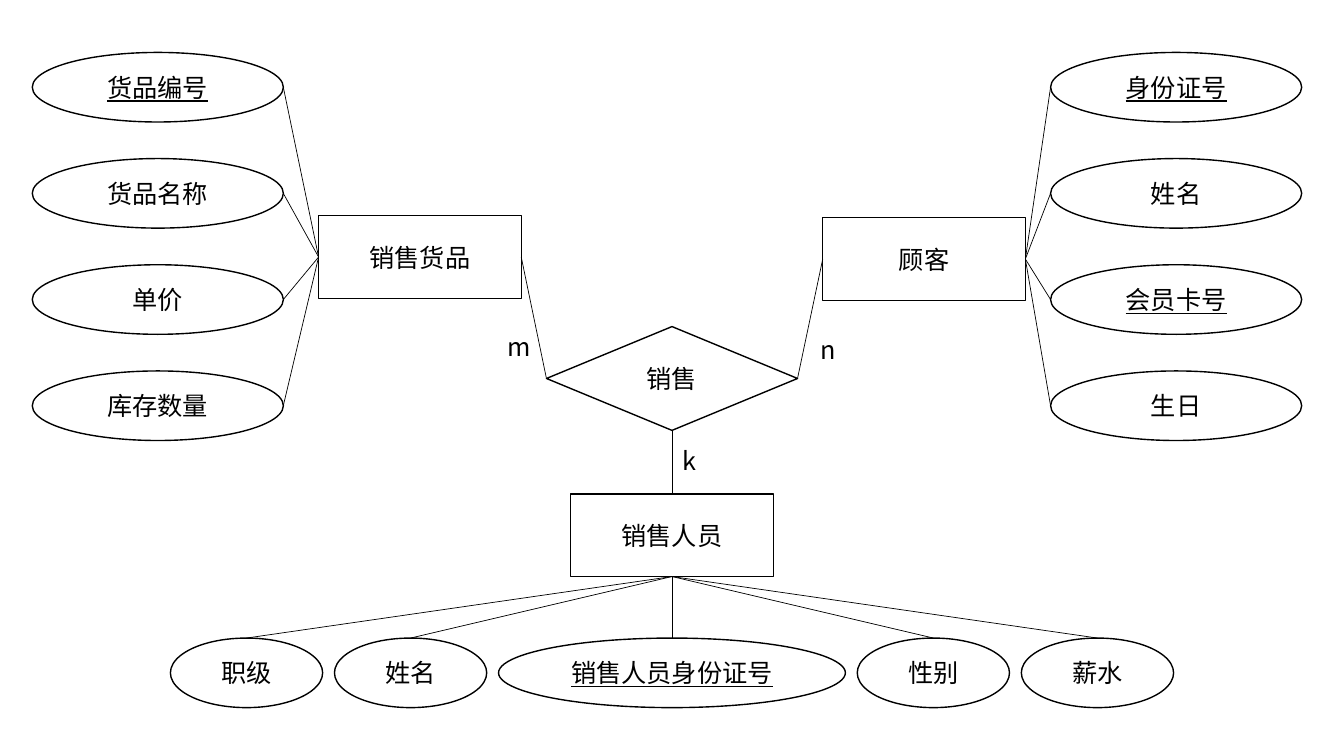
from dataclasses import dataclass

from lxml.etree import SubElement
from pptx import Presentation
from pptx.dml.color import RGBColor
from pptx.enum.shapes import MSO_CONNECTOR as Link, MSO_SHAPE as Preset
from pptx.enum.text import MSO_ANCHOR as Anchor, MSO_AUTO_SIZE as Fit, PP_ALIGN as Align
from pptx.oxml.ns import qn
from pptx.util import Inches, Pt

TOP, LEFT, BOTTOM, RIGHT = range(4)


@dataclass(frozen=True)
class Theme:
    ink: RGBColor = RGBColor(0, 0, 0)
    font: str = "Noto Sans CJK SC"
    text_size: float = 18
    outline: float = 1
    link: float = 0.5


@dataclass(frozen=True)
class Box:
    left: float
    top: float
    width: float
    height: float

    def emu(self):
        return [Inches(n) for n in (self.left, self.top, self.width, self.height)]


THEME = Theme()
ENTITY_WIDTH, ENTITY_HEIGHT = 2.01, 0.82
OVAL_HEIGHT = 0.69


def write(frame, words, align, key=False):
    """Add one run in the theme's type; key attributes are underlined."""
    frame.word_wrap = True
    paragraph = frame.paragraphs[0]
    paragraph.alignment = align
    run = paragraph.add_run()
    run.text = words
    run.font.size = Pt(THEME.text_size)
    run.font.color.rgb = THEME.ink
    run.font.name = THEME.font
    if key:
        run.font.underline = True
    SubElement(run.font._element, qn("a:ea"), typeface=THEME.font)


def node(slide, preset, box, words, key=False):
    """Draw one outlined node of the diagram."""
    shape = slide.shapes.add_shape(preset, *box.emu())
    shape.shadow.inherit = False
    shape.fill.background()
    shape.line.color.rgb = THEME.ink
    shape.line.width = Pt(THEME.outline)
    shape.text_frame.vertical_anchor = Anchor.MIDDLE
    write(shape.text_frame, words, Align.CENTER, key)
    return shape


def link(slide, start, end, start_side, end_side, glue_start=True):
    """Join two nodes at the middle of their sides."""
    def middle(shape, side):
        x = {LEFT: 0, RIGHT: shape.width}.get(side, shape.width // 2)
        y = {TOP: 0, BOTTOM: shape.height}.get(side, shape.height // 2)
        return shape.left + x, shape.top + y

    line = slide.shapes.add_connector(
        Link.STRAIGHT, *middle(start, start_side), *middle(end, end_side))
    if glue_start:
        line.begin_connect(start, start_side)
    line.end_connect(end, end_side)
    line.line.color.rgb = THEME.ink
    line.line.width = Pt(THEME.link)
    SubElement(line._element.spPr, qn("a:effectLst"))


def entity(slide, left, top, words):
    return node(slide, Preset.RECTANGLE,
                Box(left, top, ENTITY_WIDTH, ENTITY_HEIGHT), words)


def attribute_column(slide, box, attributes, owner, owner_side):
    """Stack attributes evenly beside the entity that owns them."""
    pitch = (box.height - OVAL_HEIGHT) / (len(attributes) - 1)
    for row, (words, key) in enumerate(attributes):
        place = Box(box.left, box.top + row * pitch, box.width, OVAL_HEIGHT)
        oval = node(slide, Preset.OVAL, place, words, key)
        # An oval's side sites are numbered differently, so only the entity is glued
        link(slide, oval, owner, LEFT + RIGHT - owner_side, owner_side, glue_start=False)


def attribute_row(slide, box, attributes, owner):
    """Spread attributes with equal gaps below the entity that owns them."""
    narrow, wide = 1.51, 3.44
    widths = [wide if key else narrow for _, key in attributes]
    gap = (box.width - sum(widths)) / (len(widths) - 1)
    left = box.left
    for (words, key), width in zip(attributes, widths):
        oval = node(slide, Preset.OVAL, Box(left, box.top, width, box.height), words, key)
        link(slide, oval, owner, TOP, BOTTOM)
        left += width + gap


def relationship(slide, box, words, members):
    """Draw the diamond, its links and the cardinality beside each link."""
    diamond = node(slide, Preset.DIAMOND, box, words)
    for member, side, member_side, cardinality, dx, dy in members:
        link(slide, diamond, member, side, member_side)
        place = Box(box.left + dx, box.top + dy, 0.46, 0.4)
        label = slide.shapes.add_textbox(*place.emu()).text_frame
        label.auto_size = Fit.SHAPE_TO_FIT_TEXT
        write(label, cardinality, Align.LEFT)


def sales_diagram(slide):
    # Entities
    goods = entity(slide, 3.16, 2.14, "销售货品")
    customer = entity(slide, 8.16, 2.16, "顾客")
    seller = entity(slide, 5.66, 4.9, "销售人员")

    # Sale relationship
    relationship(slide, Box(5.42, 3.24, 2.49, 1.03), "销售", [
        (goods, LEFT, RIGHT, "m", -0.48, 0),
        (customer, RIGHT, LEFT, "n", 2.62, 0.03),
        (seller, BOTTOM, TOP, "k", 1.25, 1.13),
    ])

    # Attributes, each with its key flag
    attribute_column(slide, Box(0.32, 0.52, 2.49, 3.85), [
        ("货品编号", True), ("货品名称", False), ("单价", False), ("库存数量", False),
    ], goods, LEFT)
    attribute_column(slide, Box(10.42, 0.52, 2.49, 3.85), [
        ("身份证号", True), ("姓名", False), ("会员卡号", True), ("生日", False),
    ], customer, RIGHT)
    attribute_row(slide, Box(1.69, 6.33, 9.95, OVAL_HEIGHT), [
        ("职级", False), ("姓名", False), ("销售人员身份证号", True),
        ("性别", False), ("薪水", False),
    ], seller)


def main():
    deck = Presentation()
    deck.slide_width, deck.slide_height = Inches(13.33), Inches(7.5)
    blank = deck.slide_layouts[6]
    sales_diagram(deck.slides.add_slide(blank))
    deck.save("out.pptx")


if __name__ == "__main__":
    main()
